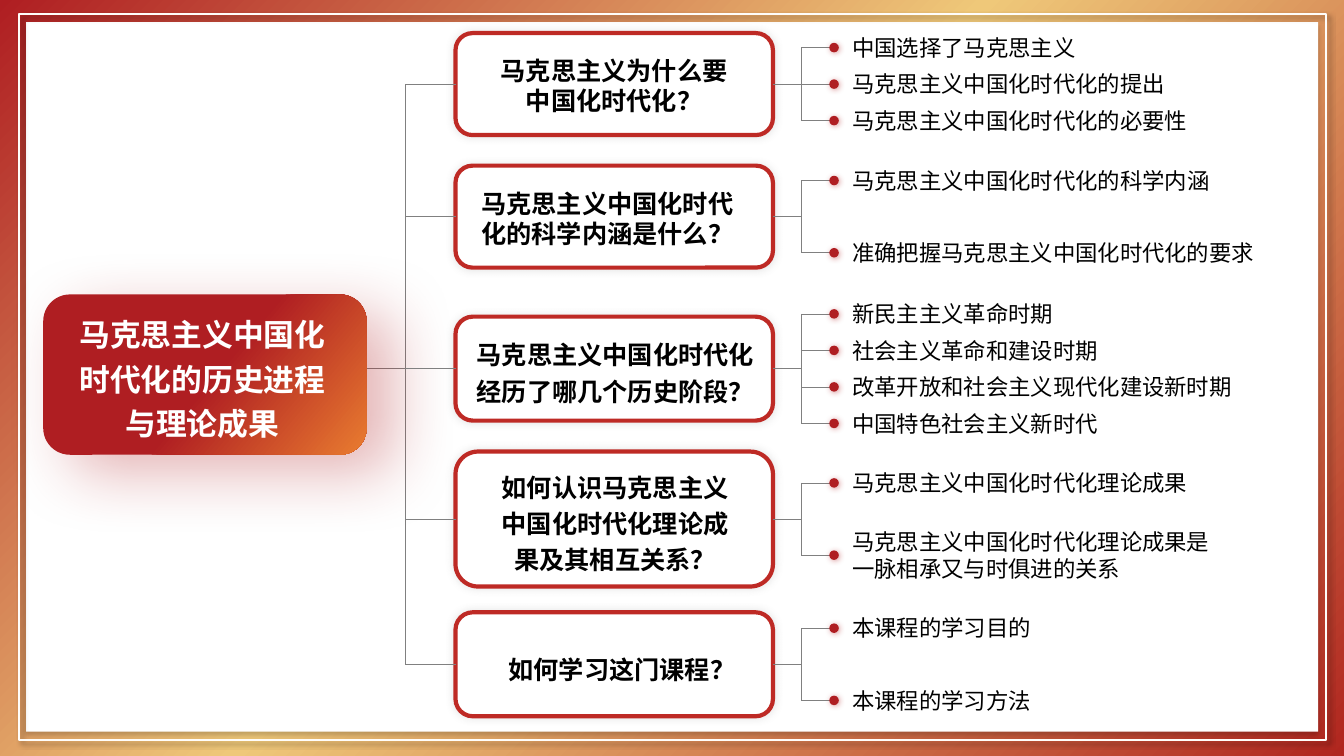
from lxml.etree import SubElement
from pptx import Presentation
from pptx.dml.color import RGBColor
from pptx.enum.shapes import MSO_CONNECTOR, MSO_SHAPE
from pptx.enum.text import MSO_AUTO_SIZE, PP_ALIGN
from pptx.oxml.ns import qn
from pptx.util import Cm, Pt

RED = RGBColor(0xAF, 0x1E, 0x22)
BRICK = RGBColor(0xB0, 0x26, 0x1F)
EDGE = RGBColor(0xBE, 0x2A, 0x25)
GOLD = RGBColor(0xEF, 0xC8, 0x79)
ORANGE = RGBColor(0xE9, 0x7C, 0x30)
CREAM = RGBColor(0xFF, 0xFD, 0xFA)
WHITE = RGBColor(0xFF, 0xFF, 0xFF)
BLACK = RGBColor(0, 0, 0)
GREY = RGBColor(0x80, 0x80, 0x80)

FONT = "Noto Sans CJK SC"
WIDE, HIGH = 33.87, 19.05
TRUNK, FORK, DOT, LABEL = 10.21, 20.19, 21.02, 21.23
BOX_LEFT, BOX_WIDE = 11.48, 8
ROOT_Y = 9.29

# middle, box height, (text left, width, height), line spacing, title, points
TOPICS = [
    (2.12, 2.57, (12.12, 6.71, 1.8), 1, "马克思主义为什么要中国化时代化？",
     ["中国选择了马克思主义", "马克思主义中国化时代化的提出",
      "马克思主义中国化时代化的必要性"]),
    (5.46, 2.57, (11.76, 7.09, 1.8), 1, "马克思主义中国化时代化的科学内涵是什么？",
     ["马克思主义中国化时代化的科学内涵", "准确把握马克思主义中国化时代化的要求"]),
    (ROOT_Y, 2.62, (11.53, 7.95, 2.11), 1.2,
     "马克思主义中国化时代化经历了哪几个历史阶段？",
     ["新民主主义革命时期", "社会主义革命和建设时期",
      "改革开放和社会主义现代化建设新时期", "中国特色社会主义新时代"]),
    (13.08, 3.4, (12.12, 6.76, 3.02), 1.2,
     "如何认识马克思主义中国化时代化理论成果及其相互关系？",
     ["马克思主义中国化时代化理论成果",
      "马克思主义中国化时代化理论成果是一脉相承又与时俱进的关系"]),
    (16.74, 2.62, (12.5, 6.35, 1.17), 1.2, "如何学习这门课程？",
     ["本课程的学习目的", "本课程的学习方法"]),
]


class Board:
    def __init__(self, slide):
        self.shapes = slide.shapes

    def shape(self, kind, box, fill=None, line=None, shade=None):
        """line is (colour, points); shade is (colour, alpha, blur, distance, angle)."""
        item = self.shapes.add_shape(kind, *map(Cm, box))
        item.shadow.inherit = False
        if fill is None:
            item.fill.background()
        else:
            item.fill.solid()
            item.fill.fore_color.rgb = fill
        if line:
            item.line.color.rgb, item.line.width = line[0], Pt(line[1])
        else:
            item.line.fill.background()
        if shade:
            self.shade(item, *shade)
        return item

    def shade(self, item, tint, alpha, blur, dist, angle):
        effects = item._element.spPr.find(qn("a:effectLst"))
        outer = SubElement(effects, qn("a:outerShdw"), blurRad=str(Pt(blur)),
                           dist=str(Pt(dist)), dir=str(angle * 60000),
                           algn="ctr", rotWithShape="0")
        color = SubElement(outer, qn("a:srgbClr"), val=str(tint))
        SubElement(color, qn("a:alpha"), val=str(alpha * 1000))

    def blend(self, item, stops, angle):
        """Fill with a gradient whose angle runs clockwise."""
        item.fill.gradient()
        item.fill.gradient_angle = 360 - angle
        slots = item._element.spPr.find(qn("a:gradFill")).find(qn("a:gsLst"))
        for old in list(slots):
            slots.remove(old)
        for place, tint in stops:
            stop = SubElement(slots, qn("a:gs"), pos=str(place * 1000))
            SubElement(stop, qn("a:srgbClr"), val=str(tint))

    def line(self, x1, y1, x2, y2):
        item = self.shapes.add_connector(
            MSO_CONNECTOR.STRAIGHT, *map(Cm, (x1, y1, x2, y2)))
        item.line.color.rgb = GREY
        item.line.width = Pt(0.5)
        SubElement(item._element.spPr, qn("a:effectLst"))
        return item

    def text(self, box, words, size, color=BLACK, bold=False,
             align=PP_ALIGN.LEFT, space=1, wrap=True):
        frame = self.shapes.add_textbox(*map(Cm, box)).text_frame
        frame.word_wrap = wrap
        frame.auto_size = MSO_AUTO_SIZE.SHAPE_TO_FIT_TEXT
        frame.text = words
        para = frame.paragraphs[0]
        para.alignment = align
        if space != 1:
            para.line_spacing = space
        font = para.runs[0].font
        font.size, font.bold, font.name = Pt(size), bold, FONT
        font.color.rgb = color
        SubElement(font._element, qn("a:ea"), typeface=FONT)

    def frame(self):
        back = self.shape(MSO_SHAPE.RECTANGLE, (0, 0, WIDE, HIGH), WHITE)
        self.blend(back, [(0, BRICK), (53, GOLD), (100, RED)], 225)
        self.shape(MSO_SHAPE.RECTANGLE, (0.66, 0.56, 32.56, 17.88), WHITE,
                   shade=(BLACK, 20, 4, 3, 90))
        self.shape(MSO_SHAPE.RECTANGLE, (0.48, 0.36, 32.94, 18.29),
                   line=(CREAM, 1.5), shade=(BLACK, 40, 4, 3, 45))

    def root(self):
        self.line(TRUNK, TOPICS[0][0], TRUNK, TOPICS[-1][0])
        self.line(8.28, ROOT_Y, TRUNK, ROOT_Y)
        hub = self.shape(MSO_SHAPE.ROUNDED_RECTANGLE, (1.09, 7.42, 8.15, 4.04),
                         RED, shade=(RED, 33, 46, 23, 35))
        self.blend(hub, [(52, RED), (100, ORANGE)], 40)
        self.text((1.52, 7.65, 7.16, 3.63),
                  "马克思主义中国化时代化的历史进程与理论成果",
                  22, WHITE, True, PP_ALIGN.CENTER, 1.2)

    def topic(self, mid, high, area, space, title, points):
        box = self.shape(MSO_SHAPE.ROUNDED_RECTANGLE,
                         (BOX_LEFT, mid - high / 2, BOX_WIDE, high),
                         WHITE, (EDGE, 3), (GREY, 20, 6, 0, 315))
        self.line(TRUNK, mid, BOX_LEFT, mid).end_connect(box, 1)
        self.line(BOX_LEFT + BOX_WIDE, mid, FORK, mid).begin_connect(box, 3)
        left, wide, tall = area
        self.text((left, mid - tall / 2 + 0.05, wide, tall), title, 18,
                  bold=True, align=PP_ALIGN.CENTER, space=space)
        step = 1.82 if len(points) == 2 else 0.92
        reach = step * (len(points) - 1) / 2
        self.line(FORK, mid - reach, FORK, mid + reach)
        for i, words in enumerate(points):
            self.point(mid - reach + i * step, words)

    def point(self, y, words):
        self.line(FORK, y, DOT, y)
        self.shape(MSO_SHAPE.OVAL, (DOT - 0.12, y - 0.12, 0.24, 0.24), RED,
                   shade=(RED, 40, 4, 1, 45))
        long = len(words) > 20
        wide = 9.58 if long else 0.51 + len(words) * Pt(16).cm
        tall = 1.63 if long else 0.94
        self.text((LABEL, y - tall / 2, wide, tall), words, 16, wrap=long)


def main():
    deck = Presentation()
    deck.slide_width, deck.slide_height = Cm(WIDE), Cm(HIGH)
    board = Board(deck.slides.add_slide(deck.slide_layouts[6]))
    board.frame()
    board.root()
    for topic in TOPICS:
        board.topic(*topic)
    deck.save("out.pptx")


if __name__ == "__main__":
    main()
